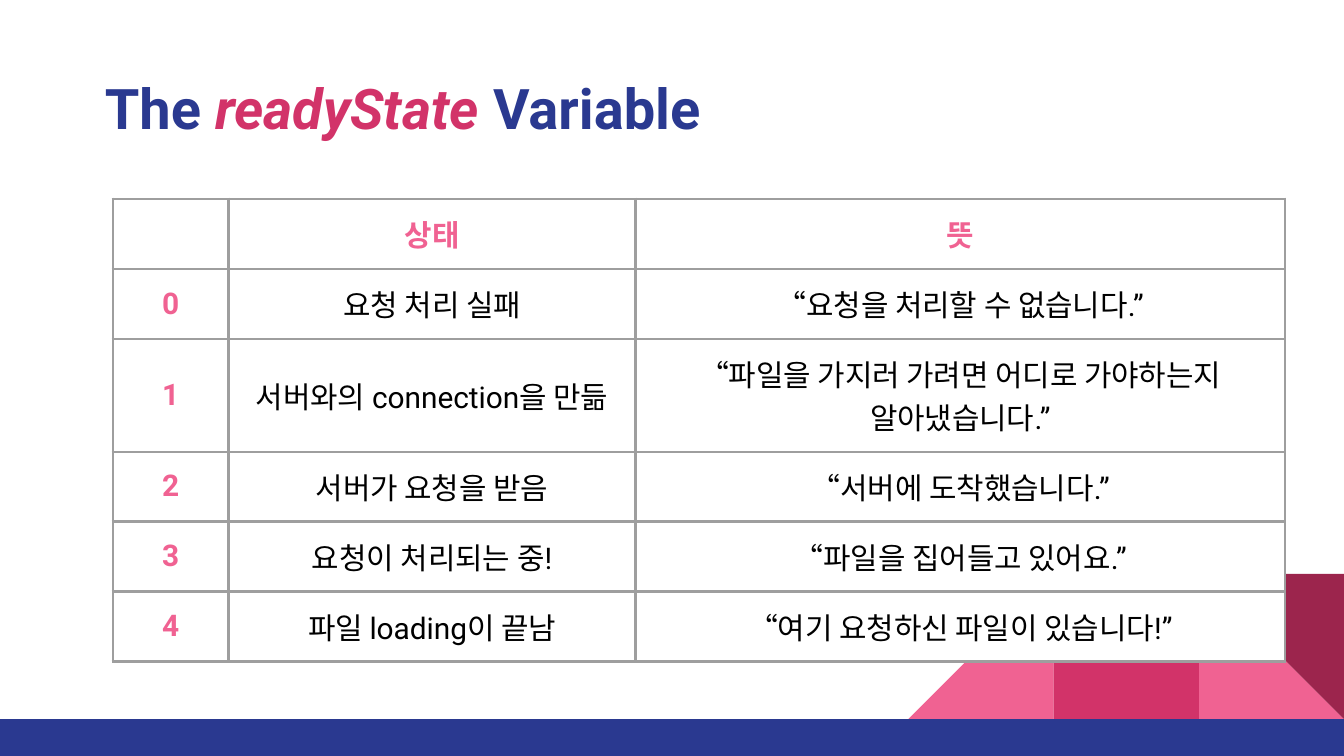
import pptx
import pptx.dml.color
import pptx.enum.shapes
import pptx.enum.text
import pptx.oxml
import pptx.oxml.ns
import pptx.util

Inches = pptx.util.Inches
Pt = pptx.util.Pt
Shapes = pptx.enum.shapes.MSO_SHAPE
Align = pptx.enum.text.PP_ALIGN
Anchor = pptx.enum.text.MSO_ANCHOR

COLORS = {
    "navy": "2A3990",
    "crimson": "D23369",
    "pink": "F06292",
    "wine": "9C254D",
    "gray": "9E9E9E",
    "black": "000000",
    "white": "FFFFFF",
}
FONT = "Roboto"
SLIDE_WIDTH = 10
SLIDE_HEIGHT = SLIDE_WIDTH * 9 / 16
COLUMN_WIDTHS = (0.86, 3.03, 4.83)
ROW_HEIGHT = 0.43
TITLE_SPANS = (
    ("The ", "navy", False),
    ("readyState ", "crimson", True),
    ("Variable", "navy", False),
)
STATES = (
    ("", "상태", "뜻"),
    ("0", "요청 처리 실패", "“요청을 처리할 수 없습니다.”"),
    ("1", "서버와의 connection을 만듦",
     "“파일을 가지러 가려면 어디로 가야하는지 알아냈습니다.”"),
    ("2", "서버가 요청을 받음", "“서버에 도착했습니다.”"),
    ("3", "요청이 처리되는 중!", "“파일을 집어들고 있어요.”"),
    ("4", "파일 loading이 끝남", "“여기 요청하신 파일이 있습니다!”"),
)


def rgb(name):
    """Return the named colour of the palette."""
    return pptx.dml.color.RGBColor.from_string(COLORS[name])


def set_all(target, values):
    """Set every attribute in a dict of format values."""
    for name, value in values.items():
        setattr(target, name, value)


def add_span(para, text, color, size, bold=False, italic=False):
    """Add one formatted run to a paragraph."""
    span = para.add_run()
    span.text = text
    set_all(span.font, {"name": FONT, "size": Pt(size), "bold": bold, "italic": italic})
    span.font.color.rgb = rgb(color)


def add_block(page, kind, box, color):
    """Add a flat filled shape without outline or shadow."""
    shape = page.shapes.add_shape(kind, *map(Inches, box))
    shape.shadow.inherit = False
    shape.fill.solid()
    shape.fill.fore_color.rgb = rgb(color)
    shape.line.fill.background()
    return shape


def add_corner(page, left, top, side):
    """Draw the row of three squares and triangles in the corner."""
    boxes = [(left + side * step, top, side, side) for step in range(3)]
    add_block(page, Shapes.RIGHT_TRIANGLE, boxes[2], "pink")
    slope = add_block(page, Shapes.RIGHT_TRIANGLE, boxes[0], "pink")
    slope._element.spPr.find(pptx.oxml.ns.qn("a:xfrm")).set("flipH", "1")
    add_block(page, Shapes.RECTANGLE, boxes[1], "crimson")
    add_block(page, Shapes.RIGHT_TRIANGLE, boxes[2], "wine").rotation = 180


def add_title(page, left, top, width, height):
    """Place and fill the title placeholder."""
    title = page.shapes.title
    set_all(title, {"left": Inches(left), "top": Inches(top),
                    "width": Inches(width), "height": Inches(height)})
    frame = title.text_frame
    set_all(frame, {f"margin_{side}": Inches(0.1)
                    for side in ("left", "right", "top", "bottom")})
    set_all(frame, {"word_wrap": True, "vertical_anchor": Anchor.TOP,
                    "auto_size": pptx.enum.text.MSO_AUTO_SIZE.NONE})
    para = frame.paragraphs[0]
    para.alignment = Align.LEFT
    for text, color, italic in TITLE_SPANS:
        add_span(para, text, color, 30, True, italic)


def add_borders(cell):
    """Draw a gray line on each side of a table cell."""
    properties = cell._tc.get_or_add_tcPr()
    for index, side in enumerate(("lnL", "lnR", "lnT", "lnB")):
        properties.insert(index, pptx.oxml.parse_xml(
            f'<a:{side} {pptx.oxml.ns.nsdecls("a")} w="{Pt(1.5)}"><a:solidFill>'
            f'<a:srgbClr val="{COLORS["gray"]}"/></a:solidFill></a:{side}>'))


def fill_cell(cell, text, heading):
    """Format one table cell and write its text."""
    cell.fill.solid()
    cell.fill.fore_color.rgb = rgb("white")
    set_all(cell, {f"margin_{side}": Inches(0.1)
                   for side in ("left", "right", "top", "bottom")})
    cell.vertical_anchor = Anchor.MIDDLE
    add_borders(cell)
    if text:
        para = cell.text_frame.paragraphs[0]
        para.alignment = Align.CENTER
        add_span(para, text, "pink" if heading else "black", 16, heading)


def add_state_table(page, left, top):
    """Build the table of states and their meanings."""
    box = (left, top, sum(COLUMN_WIDTHS), ROW_HEIGHT * len(STATES))
    table = page.shapes.add_table(
        len(STATES), len(COLUMN_WIDTHS), *map(Inches, box)).table
    set_all(table, {"first_row": False, "horz_banding": False})
    for column, width in zip(table.columns, COLUMN_WIDTHS):
        column.width = Inches(width)
    for row, texts in enumerate(STATES):
        table.rows[row].height = Inches(ROW_HEIGHT)
        for column, text in enumerate(texts):
            fill_cell(table.cell(row, column), text, row == 0 or column == 0)


def main():
    """Build and save the deck."""
    deck = pptx.Presentation()
    deck.slide_width, deck.slide_height = map(Inches, (SLIDE_WIDTH, SLIDE_HEIGHT))
    page = deck.slides.add_slide(deck.slide_layouts[5])
    add_corner(page, 6.76, 4.27, 1.08)
    add_block(page, Shapes.RECTANGLE, (0, 5.35, SLIDE_WIDTH, 0.28), "navy")
    add_title(page, 0.68, 0.45, 8.98, 0.66)
    add_state_table(page, 0.84, 1.48)
    deck.save("out.pptx")


if __name__ == "__main__":
    main()
